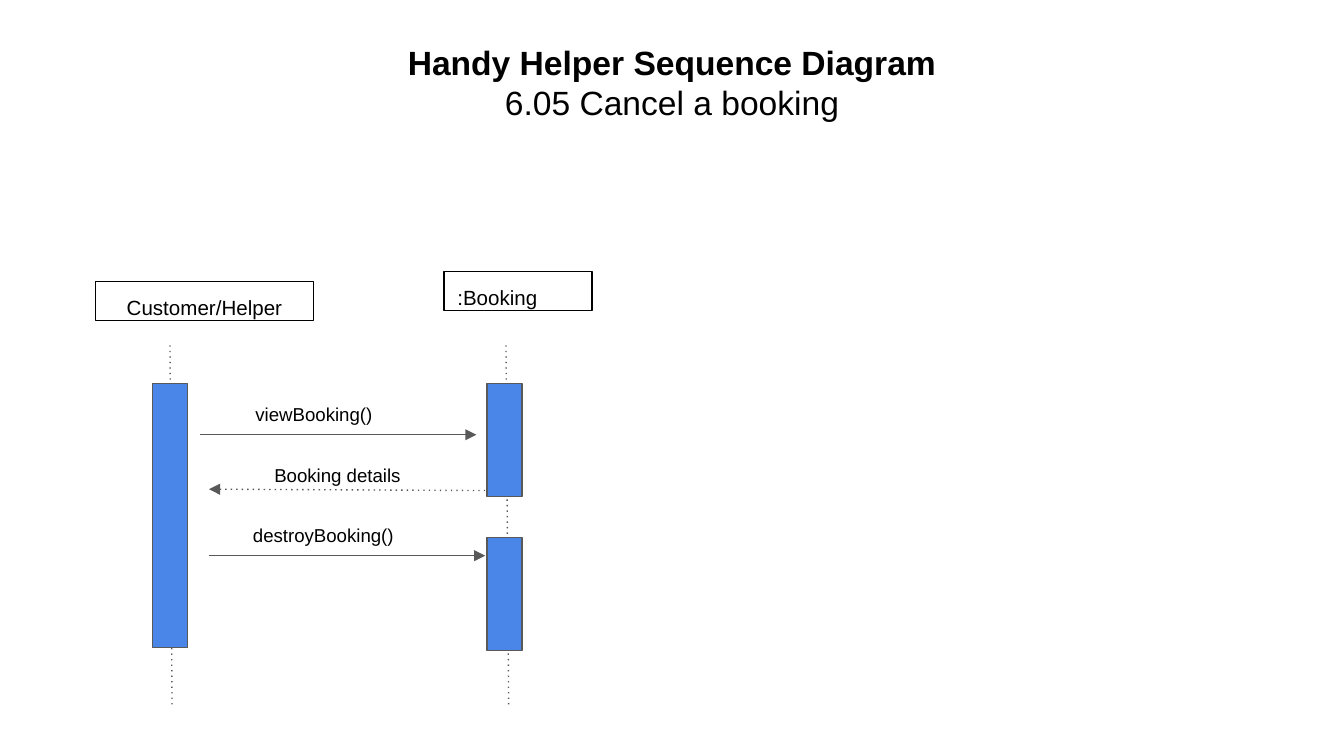
from lxml import etree
from pptx import Presentation
from pptx import util as u
from pptx.dml.color import RGBColor
from pptx.enum import shapes, text
from pptx.oxml.ns import qn

PX = 4572  # EMU in one px, 200 px to the inch
BLACK = RGBColor(0x00, 0x00, 0x00)
GREY = RGBColor(0x59, 0x59, 0x59)
BLUE = RGBColor(0x4A, 0x86, 0xE8)
CENTER, LEFT = text.PP_ALIGN.CENTER, text.PP_ALIGN.LEFT
TOP, MIDDLE = text.MSO_ANCHOR.TOP, text.MSO_ANCHOR.MIDDLE
BAR_WIDTH, BAR_TOP = 52, 571
MESSAGE_WIDTH, MESSAGE_HEIGHT = 304, 44


def lengths(*values):
    return [u.Emu(value * PX) for value in values]


def set_attributes(target, values):
    for name, value in values.items():
        setattr(target, name, value)


def write_text(shape, lines, size, alignment, anchor=TOP):
    """Fill a shape with one paragraph per (wording, bold) pair."""
    frame = shape.text_frame
    margin = u.Emu(20 * PX)
    set_attributes(frame, {
        "word_wrap": True, "auto_size": text.MSO_AUTO_SIZE.NONE,
        "vertical_anchor": anchor, "margin_left": margin,
        "margin_right": margin, "margin_top": margin, "margin_bottom": margin,
    })
    for index, (wording, bold) in enumerate(lines):
        paragraph = frame.add_paragraph() if index else frame.paragraphs[0]
        paragraph.alignment = alignment
        run = paragraph.add_run()
        run.text = wording
        set_attributes(run.font, {"name": "Arial", "size": u.Pt(size), "bold": bold})
        run.font.color.rgb = BLACK


def add_title(slide, lines):
    title = slide.shapes.title
    left, top, width, height = lengths(68, 42, 1864, 126)
    set_attributes(title, {"left": left, "top": top, "width": width, "height": height})
    write_text(title, lines, 18, CENTER)


def add_box(slide, left, top, width, height, line_color, fill_color=None):
    box = slide.shapes.add_shape(
        shapes.MSO_SHAPE.RECTANGLE, *lengths(left, top, width, height))
    box.shadow.inherit = False
    if fill_color is None:
        box.fill.background()
    else:
        box.fill.solid()
        box.fill.fore_color.rgb = fill_color
    box.line.color.rgb = line_color
    box.line.width = u.Pt(0.75)
    return box


def add_participant(slide, wording, left, top, width, alignment):
    box = add_box(slide, left, top, width, 58, BLACK)
    write_text(box, [(wording, False)], 11, alignment)


def add_activation(slide, left, top, height):
    add_box(slide, left, top, BAR_WIDTH, height, GREY, BLUE)


def add_line(slide, start, end, dotted=False, arrow=False):
    line = slide.shapes.add_connector(
        shapes.MSO_CONNECTOR.STRAIGHT, *lengths(*start, *end))
    line.line.color.rgb = GREY
    line.line.width = u.Pt(0.75)
    outline = line.line._get_or_add_ln()
    if dotted:
        etree.SubElement(outline, qn("a:prstDash"), val="dot")
    if arrow:
        etree.SubElement(outline, qn("a:tailEnd"), type="triangle")
    etree.SubElement(line._element.spPr, qn("a:effectLst"))


def add_message(slide, wording, label_corner, start, end, dotted=False):
    """Draw an arrow between lifelines with its label."""
    add_line(slide, start, end, dotted, arrow=True)
    label = slide.shapes.add_textbox(
        *lengths(*label_corner, MESSAGE_WIDTH, MESSAGE_HEIGHT))
    write_text(label, [(wording, False)], 10, CENTER, MIDDLE)


def main():
    presentation = Presentation()
    presentation.slide_width, presentation.slide_height = lengths(2000, 1125)
    slide = presentation.slides.add_slide(presentation.slide_layouts[5])

    add_title(slide, [("Handy Helper Sequence Diagram", True),
                      ("6.05 Cancel a booking", False)])
    add_participant(slide, ":Booking", 661, 404, 220, LEFT)
    add_participant(slide, "Customer/Helper", 142, 419, 325, CENTER)

    for top_x, bottom_x in ((253, 256), (753, 757)):
        add_line(slide, (top_x, 514), (bottom_x, 1050), dotted=True)
    for left, top, height in ((227, BAR_TOP, 393), (725, BAR_TOP, 168), (725, 800, 168)):
        add_activation(slide, left, top, height)

    add_message(slide, "viewBooking()", (315, 594), (298, 647), (709, 647))
    add_message(slide, "Booking details", (350, 685), (722, 730), (311, 728), dotted=True)
    add_message(slide, "destroyBooking()", (329, 774), (311, 827), (722, 827))

    presentation.save("out.pptx")


if __name__ == "__main__":
    main()
